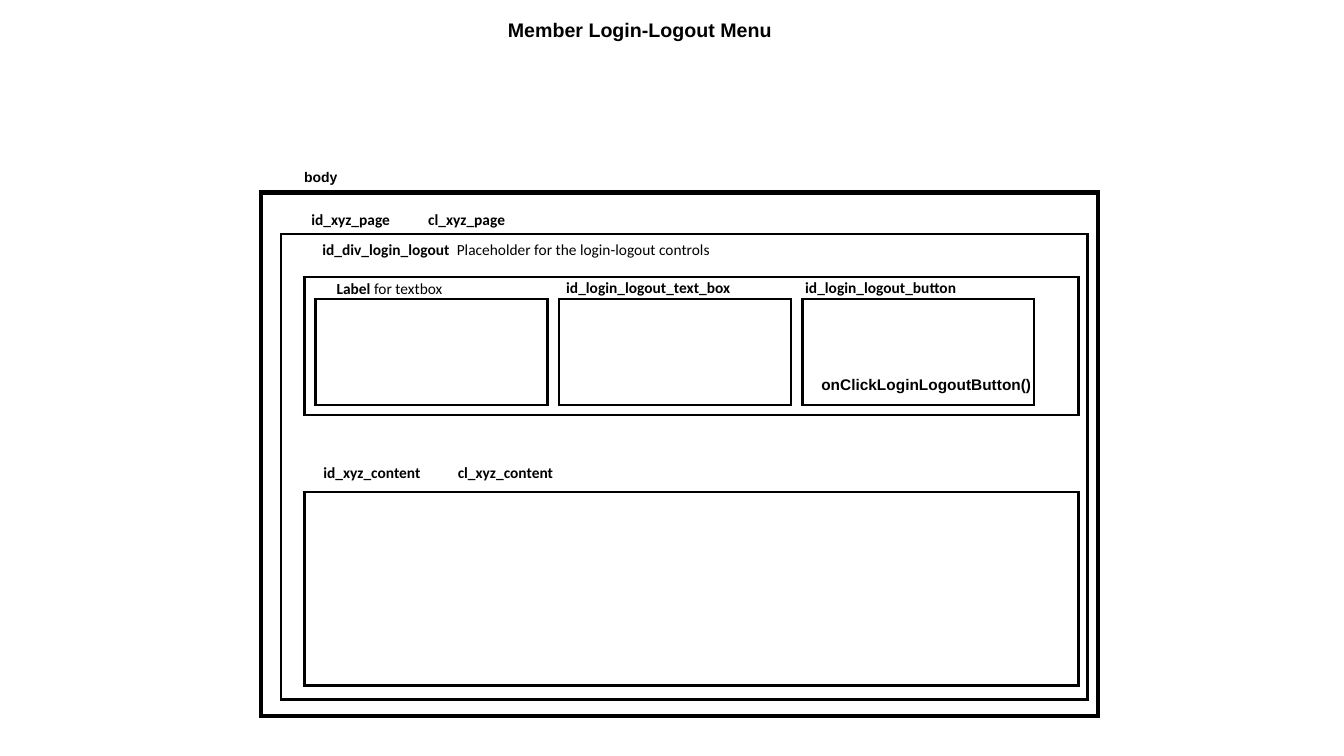
import pptx
import pptx.util
import pptx.dml.color
import pptx.enum.shapes
import pptx.enum.text
import pptx.oxml
import pptx.oxml.ns

Pt = pptx.util.Pt
COLOURS = {"ink": "000000"}

# Frames: left, top, width, height, line width
BODY = (186.5, 137.5, 597.6, 373.7, 3)
PAGE = (200.9, 167, 576, 332.6, 1.75)
LOGIN_LOGOUT = (217.4, 198, 553, 98.6, 1.75)
CONTENT = (217.4, 351.4, 553, 138.2, 1.75)

# Row of equal controls inside the login-logout frame
CONTROL_COUNT = 3
CONTROL_LEFT, CONTROL_TOP = 225.4, 213.6
CONTROL_WIDTH, CONTROL_HEIGHT = 165.6, 75.6
CONTROL_STEP = 173.9

# Labels: (left, top, width, height), font, size, tab stop, [(text, bold)]
LABELS = [
    ((355.7, 9.4, 227.5, 24.5), "Arial", 14, None, [("Member Login-Logout Menu", True)]),
    ((210.2, 116.6, 97.9, 19.4), "Arial", 10, None, [("body", True)]),
    ((215.3, 146.2, 341.3, 20.9), "Calibri", 11, 83.5, [("id_xyz_page\tcl_xyz_page", True)]),
    ((223.2, 167.8, 341.3, 20.9), "Calibri", 11, 96,
     [("id_div_login_logout\t", True), ("Placeholder for the login-logout controls", False)]),
    ((223.9, 326.9, 341.3, 20.9), "Calibri", 11, 96, [("id_xyz_content\tcl_xyz_content", True)]),
    ((233.3, 195.8, 113.8, 20.9), "Calibri", 11, None, [("Label ", True), ("for textbox", False)]),
    ((397.4, 195.1, 165.6, 20.9), "Calibri", 11, None, [("id_login_logout_text_box", True)]),
    ((568.1, 195.1, 165.6, 20.9), "Calibri", 11, None, [("id_login_logout_button", True)]),
    ((579.6, 264.2, 172.8, 20.9), "Arial", 11, None, [("onClickLoginLogoutButton()", True)]),
]


def ink():
    return pptx.dml.color.RGBColor.from_string(COLOURS["ink"])


def add_frame(slide, left, top, width, height, weight):
    """Draw an unfilled rectangle with square corners."""
    frame = slide.shapes.add_shape(
        pptx.enum.shapes.MSO_SHAPE.RECTANGLE, Pt(left), Pt(top), Pt(width), Pt(height))
    frame.shadow.inherit = False
    frame.fill.background()
    frame.line.color.rgb = ink()
    frame.line.width = Pt(weight)
    line = frame.line._get_or_add_ln()
    miter = pptx.oxml.parse_xml(f'<a:miter {pptx.oxml.ns.nsdecls("a")} lim="800000"/>')
    line.append(miter)


def add_tab_stop(para, position):
    tabs = pptx.oxml.parse_xml(
        f'<a:tabLst {pptx.oxml.ns.nsdecls("a")}><a:tab pos="{Pt(position)}" algn="l"/></a:tabLst>')
    para._p.get_or_add_pPr().append(tabs)


def add_label(slide, place, font_name, size, tab_stop, spans):
    box = slide.shapes.add_textbox(*(Pt(length) for length in place))
    box.text_frame.word_wrap = True
    box.text_frame.auto_size = pptx.enum.text.MSO_AUTO_SIZE.SHAPE_TO_FIT_TEXT
    para = box.text_frame.paragraphs[0]
    if tab_stop:
        add_tab_stop(para, tab_stop)
    para.font.name = font_name
    para.font.size = Pt(size)
    para.font.color.rgb = ink()
    for text, bold in spans:
        span = para.add_run()
        span.text = text
        span.font.bold = bold


def main():
    deck = pptx.Presentation()
    deck.slide_width, deck.slide_height = Pt(960), Pt(540)
    slide = deck.slides.add_slide(deck.slide_layouts[6])
    controls = [
        (CONTROL_LEFT + index * CONTROL_STEP, CONTROL_TOP, CONTROL_WIDTH, CONTROL_HEIGHT, 1.75)
        for index in range(CONTROL_COUNT)
    ]
    for frame in [BODY, PAGE, LOGIN_LOGOUT, CONTENT, *controls]:
        add_frame(slide, *frame)
    for label in LABELS:
        add_label(slide, *label)
    deck.save("out.pptx")


if __name__ == "__main__":
    main()
